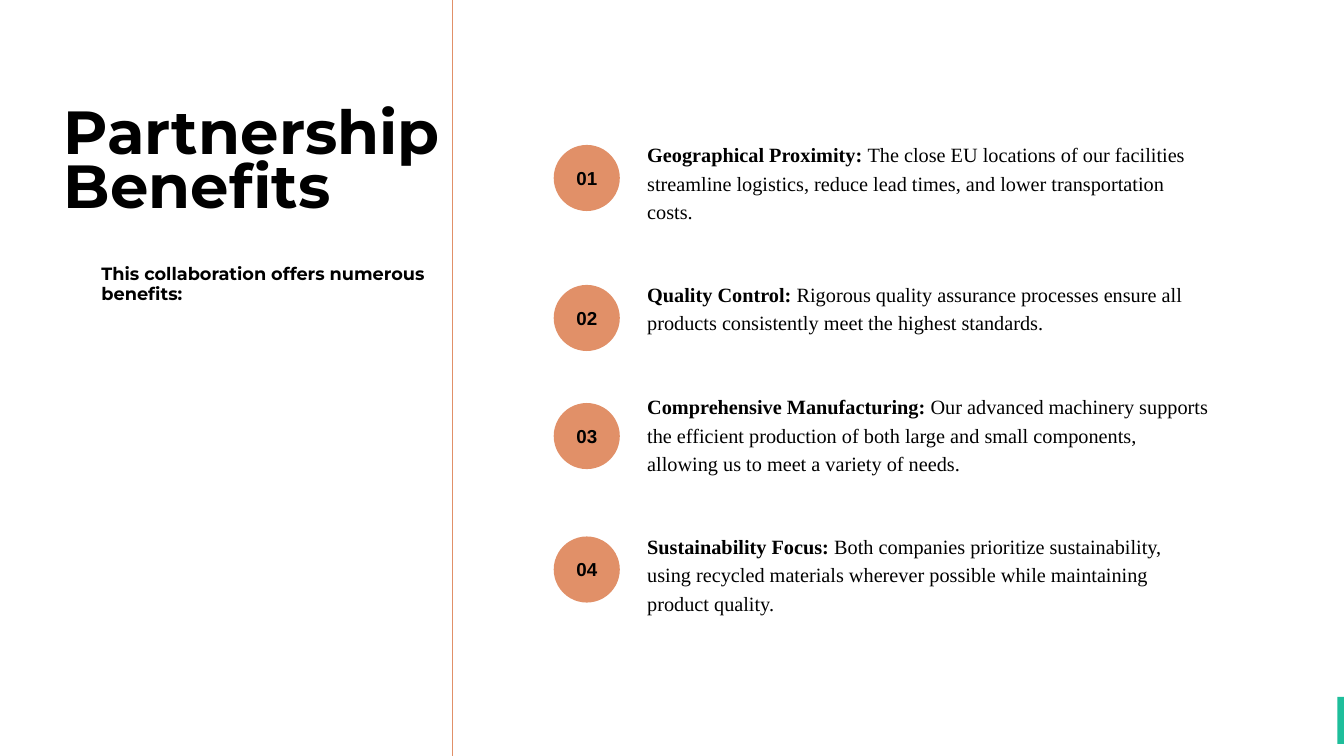
from dataclasses import dataclass

from lxml.etree import SubElement
from pptx import Presentation
from pptx.dml.color import RGBColor
from pptx.enum.shapes import MSO_CONNECTOR, MSO_SHAPE
from pptx.enum.text import MSO_ANCHOR, MSO_AUTO_SIZE, PP_ALIGN
from pptx.oxml.ns import qn
from pptx.util import Pt


@dataclass(frozen=True)
class Theme:
    ink: RGBColor = RGBColor(0x00, 0x00, 0x00)
    accent: RGBColor = RGBColor(0xE1, 0x90, 0x68)
    tab: RGBColor = RGBColor(0x1E, 0xBE, 0x9B)
    heading_font: str = "Montserrat"
    body_font: str = "Times New Roman"
    number_font: str = "Arial"
    title_size: float = 65.2
    subtitle_size: float = 19
    body_size: float = 21.7
    number_size: float = 20.1


THEME = Theme()
PAGE_WIDTH, PAGE_HEIGHT = 1440, 810
DIVIDER_X = 484.6
BADGE_LEFT, BADGE_SIZE = 593.3, 70.8
BENEFIT_LEFT, BENEFIT_WIDTH, BENEFIT_LEADING = 693.4, 602, 30.3

# Text top, badge top, line count, heading, description
BENEFITS = [
    (148.4, 155.3, 3, "Geographical Proximity: ",
     "The close EU locations of our facilities streamline logistics, "
     "reduce lead times, and lower transportation costs."),
    (298.3, 305.3, 2, "Quality Control: ",
     "Rigorous quality assurance processes ensure all products "
     "consistently meet the highest standards."),
    (418.4, 431.8, 3, "Comprehensive Manufacturing: ",
     "Our advanced machinery supports the efficient production of both large "
     "and small components, allowing us to meet a variety of needs."),
    (568.2, 574.8, 3, "Sustainability Focus: ",
     "Both companies prioritize sustainability, using recycled materials "
     "wherever possible while maintaining product quality."),
]


def place(box, left, top, width, height):
    box.left, box.top, box.width, box.height = map(Pt, (left, top, width, height))


def set_frame(box, anchor=MSO_ANCHOR.TOP):
    frame = box.text_frame
    frame.margin_left = frame.margin_right = frame.margin_top = frame.margin_bottom = 0
    frame.word_wrap = True
    frame.auto_size = MSO_AUTO_SIZE.NONE
    frame.vertical_anchor = anchor
    return frame.paragraphs[0]


def style(para, font, size, leading, bold=None, align=PP_ALIGN.LEFT):
    para.alignment = align
    para.line_spacing = Pt(leading)
    para.font.name = font
    para.font.size = Pt(size)
    para.font.bold = bold
    para.font.color.rgb = THEME.ink


def add_text(page, left, top, width, height):
    box = page.shapes.add_textbox(Pt(left), Pt(top), Pt(width), Pt(height))
    return set_frame(box)


def add_plain_shape(page, kind, left, top, width, height, color):
    shape = page.shapes.add_shape(kind, Pt(left), Pt(top), Pt(width), Pt(height))
    shape.shadow.inherit = False
    shape.fill.solid()
    shape.fill.fore_color.rgb = color
    shape.line.fill.background()
    return shape


def add_divider(page):
    line = page.shapes.add_connector(
        MSO_CONNECTOR.STRAIGHT, Pt(DIVIDER_X), Pt(0), Pt(DIVIDER_X), Pt(PAGE_HEIGHT))
    line.line.color.rgb = THEME.accent
    line.line.width = Pt(1.5)
    SubElement(line._element.spPr, qn("a:effectLst"))


def add_badge(page, top, number):
    badge = add_plain_shape(page, MSO_SHAPE.OVAL, BADGE_LEFT, top,
                            BADGE_SIZE, BADGE_SIZE, THEME.accent)
    para = set_frame(badge, MSO_ANCHOR.MIDDLE)
    para.text = f"{number:02d}"
    style(para, THEME.number_font, THEME.number_size, 24.1, True, PP_ALIGN.CENTER)


def add_benefit(page, top, lines, heading, description):
    para = add_text(page, BENEFIT_LEFT, top, BENEFIT_WIDTH, lines * BENEFIT_LEADING)
    style(para, THEME.body_font, THEME.body_size, BENEFIT_LEADING)
    for words, bold in ((heading, True), (description, False)):
        span = para.add_run()
        span.text = words
        span.font.bold = bold


def main():
    deck = Presentation()
    deck.slide_width, deck.slide_height = Pt(PAGE_WIDTH), Pt(PAGE_HEIGHT)
    page = deck.slides.add_slide(deck.slide_layouts[5])

    # Green tab at the right edge
    add_plain_shape(page, MSO_SHAPE.RECTANGLE, 1432.8, 746.8, 7.2, 50.4, THEME.tab)

    # Numbered benefits
    for number, (top, badge_top, lines, heading, description) in enumerate(BENEFITS, 1):
        add_benefit(page, top, lines, heading, description)
        add_badge(page, badge_top, number)

    # Left column: divider, title and lead-in
    add_divider(page)
    title = page.shapes.title
    place(title, 68.4, 119.5, 404, 121.7)
    para = set_frame(title)
    para.text = "Partnership Benefits"
    style(para, THEME.heading_font, THEME.title_size, 58.7, True)

    para = add_text(page, 108.7, 283.7, 363, 41)
    para.text = "This collaboration offers numerous benefits:"
    style(para, THEME.heading_font, THEME.subtitle_size, 20.9, True)

    deck.save("out.pptx")


if __name__ == "__main__":
    main()
